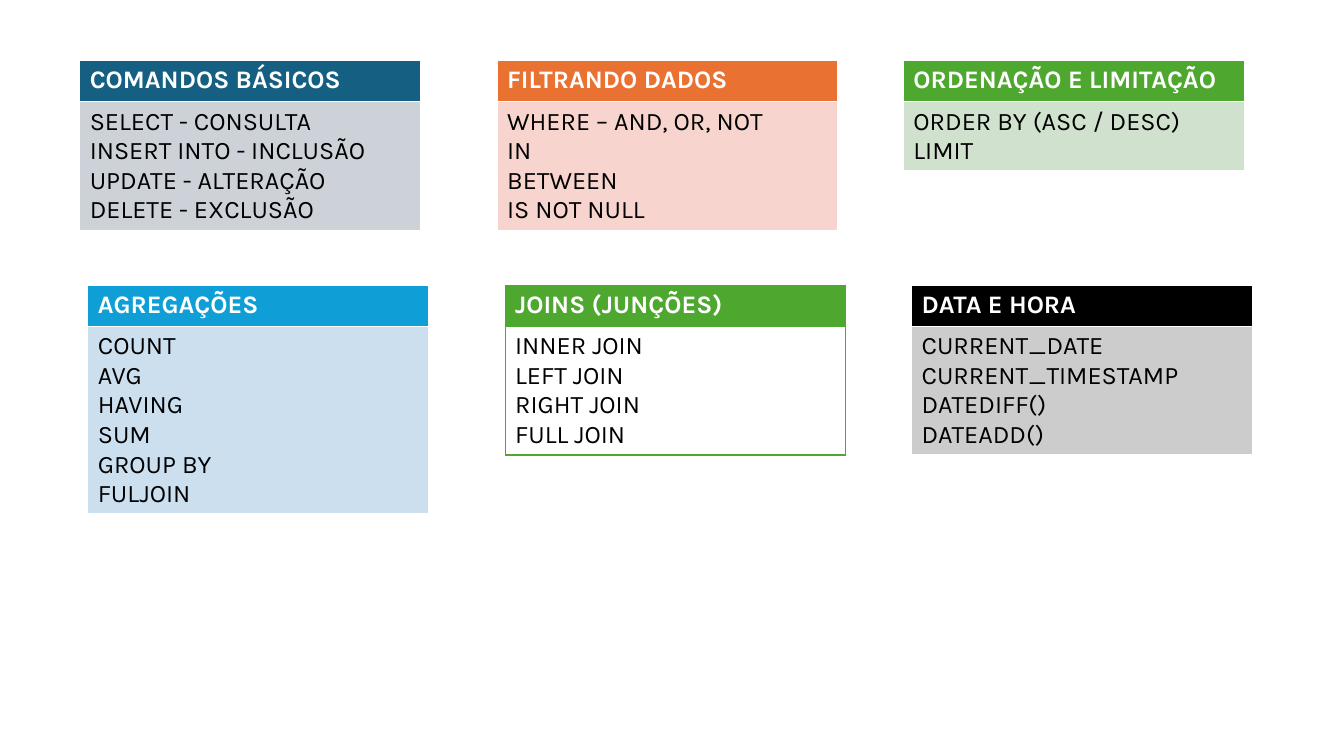
from lxml.etree import SubElement
from pptx import Presentation
from pptx.dml.color import RGBColor as Rgb
from pptx.oxml.ns import qn
from pptx.util import Inches, Pt

WHITE = Rgb(0xFF, 0xFF, 0xFF)
BLACK = Rgb(0x00, 0x00, 0x00)
TEAL = Rgb(0x15, 0x60, 0x82)
TEAL_TINT = Rgb(0xCC, 0xD2, 0xD8)
ORANGE = Rgb(0xE9, 0x71, 0x32)
ORANGE_TINT = Rgb(0xF7, 0xD5, 0xCE)
GREEN = Rgb(0x4E, 0xA7, 0x2E)
GREEN_TINT = Rgb(0xD0, 0xE1, 0xCD)
BLUE = Rgb(0x0F, 0x9E, 0xD5)
BLUE_TINT = Rgb(0xCC, 0xDF, 0xEF)
GRAY = Rgb(0xCC, 0xCC, 0xCC)

# Title, commands, header colour, body colour (None: outlined instead of filled)
TOPICS = [
    [
        ("COMANDOS BÁSICOS",
         ["SELECT - CONSULTA", "INSERT INTO - INCLUSÃO",
          "UPDATE - ALTERAÇÃO", "DELETE - EXCLUSÃO"],
         TEAL, TEAL_TINT),
        ("FILTRANDO DADOS",
         ["WHERE – AND, OR, NOT", "IN", "BETWEEN", "IS NOT NULL"],
         ORANGE, ORANGE_TINT),
        ("ORDENAÇÃO E LIMITAÇÃO",
         ["ORDER BY (ASC / DESC)", "LIMIT"],
         GREEN, GREEN_TINT),
    ],
    [
        ("AGREGAÇÕES",
         ["COUNT", "AVG", "HAVING", "SUM", "GROUP BY", "FULJOIN"],
         BLUE, BLUE_TINT),
        ("JOINS (JUNÇÕES)",
         ["INNER JOIN", "LEFT JOIN", "RIGHT JOIN", "FULL JOIN"],
         GREEN, None),
        ("DATA E HORA",
         ["CURRENT_DATE", "CURRENT_TIMESTAMP", "DATEDIFF()", "DATEADD()"],
         BLACK, GRAY),
    ],
]


class CheatSheet:
    font = "Karla"
    size = Pt(18)
    column_lefts = (0.79, 4.93, 8.96)
    row_tops = (0.6, 2.83)
    row_shift = 0.08
    card_width = 3.38
    header_height = 0.41
    line_height = 0.3
    body_padding = 0.1

    def __init__(self, deck):
        self.slide = deck.slides.add_slide(deck.slide_layouts[6])

    def card(self, column, row, title, commands, accent, tint):
        """Place a header cell over a list of commands at a grid position."""
        left = self.column_lefts[column] + row * self.row_shift
        body_height = self.body_padding + len(commands) * self.line_height
        frame = self.slide.shapes.add_table(
            2, 1, Inches(left), Inches(self.row_tops[row]),
            Inches(self.card_width), Inches(2 * self.header_height))
        header, body = frame.table.iter_cells()
        self.fill(header, accent)
        self.fill(body, tint)
        self.add_lines(header, [title], WHITE, bold=True)
        self.add_lines(body, commands, BLACK, bold=False)
        if tint is None:
            self.outline(header, accent)
            self.outline(body, accent)
        # The body row grows with its text; the frame reserves that room.
        frame.height = Inches(self.header_height + body_height)

    def fill(self, cell, color):
        if color is None:
            cell.fill.background()
        else:
            cell.fill.solid()
            cell.fill.fore_color.rgb = color

    def add_lines(self, cell, lines, color, bold):
        frame = cell.text_frame
        for index, line in enumerate(lines):
            paragraph = frame.add_paragraph() if index else frame.paragraphs[0]
            run = paragraph.add_run()
            run.text = line
            run.font.name = self.font
            run.font.size = self.size
            run.font.bold = bold
            run.font.color.rgb = color

    def outline(self, cell, color):
        """Draw all four cell borders; they must precede the fill in the XML."""
        properties = cell._tc.get_or_add_tcPr()
        for position, side in enumerate(("lnL", "lnR", "lnT", "lnB")):
            border = SubElement(properties, qn(f"a:{side}"), w=str(Pt(1)))
            solid = SubElement(border, qn("a:solidFill"))
            SubElement(solid, qn("a:srgbClr"), val=str(color))
            properties.insert(position, border)


def main():
    deck = Presentation()
    deck.slide_width, deck.slide_height = Inches(13.33), Inches(7.5)
    sheet = CheatSheet(deck)
    for row, topics in enumerate(TOPICS):
        for column, topic in enumerate(topics):
            sheet.card(column, row, *topic)
    deck.save("out.pptx")


if __name__ == "__main__":
    main()
